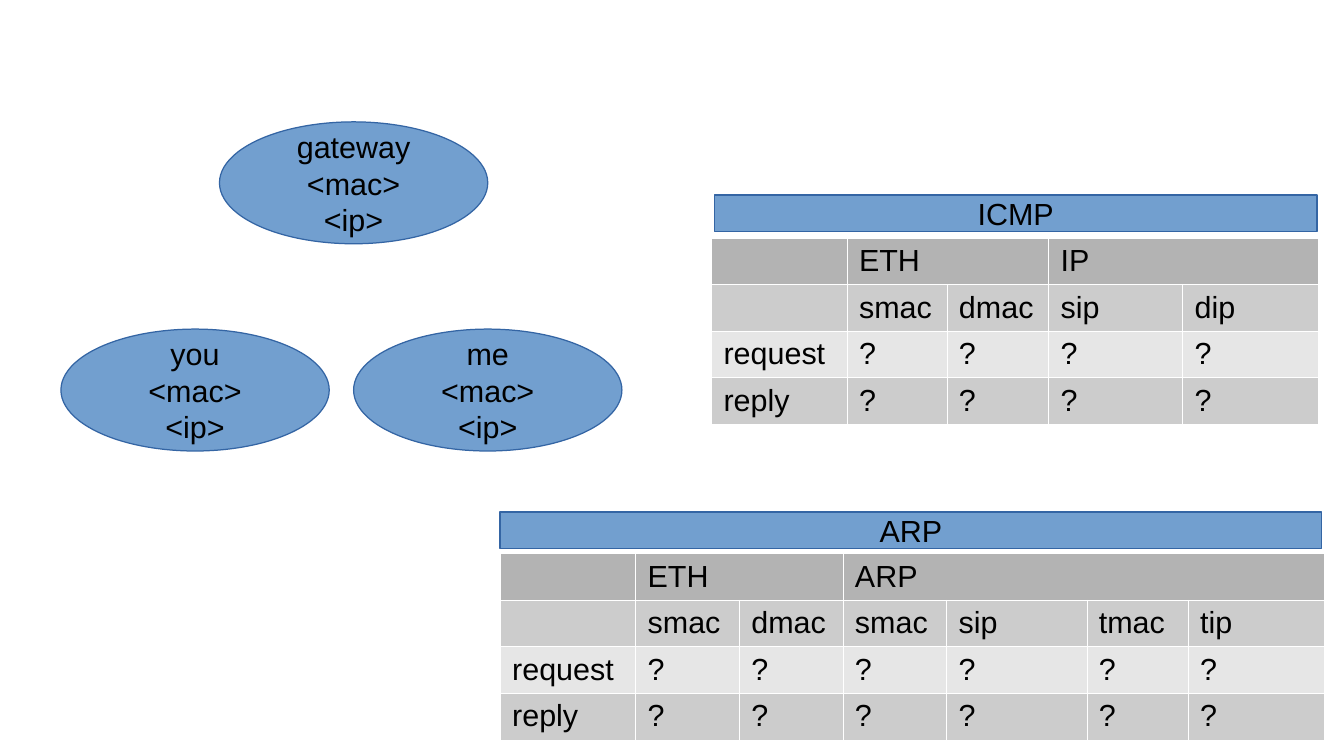
"""Build a slide of three network hosts with ICMP and ARP exercise tables."""
from lxml import etree
from pptx import Presentation
from pptx.dml.color import RGBColor
from pptx.enum.shapes import MSO_SHAPE
from pptx.enum.text import MSO_ANCHOR, PP_ALIGN
from pptx.oxml.ns import qn
from pptx.util import Pt

ELLIPSE, RECTANGLE = MSO_SHAPE.OVAL, MSO_SHAPE.RECTANGLE
LEFT, CENTER = PP_ALIGN.LEFT, PP_ALIGN.CENTER
MIDDLE = MSO_ANCHOR.MIDDLE

BLUE, DARK_BLUE, BLACK, WHITE = "729FCF", "3465A4", "000000", "FFFFFF"
ROW_FILLS = ["B3B3B3", "CCCCCC", "E6E6E6", "CCCCCC"]
ROW_HEIGHT = 27.5


def color(value):
    return RGBColor.from_string(value)


def write(text_frame, text, size=18, font="Arial", fill=BLACK, align=LEFT):
    text_frame.text = text
    for paragraph in text_frame.paragraphs:
        paragraph.alignment = align
        paragraph.font.size = Pt(size)
        paragraph.font.name = font
        paragraph.font.color.rgb = color(fill)


presentation = Presentation()
presentation.slide_width, presentation.slide_height = Pt(793.5), Pt(446.5)
slide = presentation.slides.add_slide(presentation.slide_layouts[6])

tables = [
    (420, 140.4, [80, 59, 60, 79.2, 80],
     [("ETH", 1, 2), ("IP", 3, 4)],
     ["smac", "dmac", "sip", "dip"]),
    (295.2, 326.9, [80, 61.2, 61.2, 61.2, 82.8, 59.8, 80.6],
     [("ETH", 1, 2), ("ARP", 3, 6)],
     ["smac", "dmac", "smac", "sip", "tmac", "tip"]),
]
for left, top, widths, groups, fields in tables:
    header = [""] * len(widths)
    for name, first, last in groups:
        header[first] = name
    unknowns = ["?"] * len(fields)
    rows = [header, ["", *fields], ["request", *unknowns], ["reply", *unknowns]]
    table = slide.shapes.add_table(
        len(rows), len(widths), Pt(left), Pt(top),
        Pt(sum(widths)), Pt(ROW_HEIGHT * len(rows))).table
    for column, width in zip(table.columns, widths):
        column.width = Pt(width)
    for row, texts, row_fill in zip(table.rows, rows, ROW_FILLS):
        row.height = Pt(ROW_HEIGHT)
        for cell, text in zip(row.cells, texts):
            write(cell.text_frame, text)
            properties = cell._tc.get_or_add_tcPr()
            for side in ("a:lnL", "a:lnR", "a:lnT", "a:lnB"):
                border = etree.SubElement(properties, qn(side), w="762")
                border_fill = etree.SubElement(border, qn("a:solidFill"))
                etree.SubElement(border_fill, qn("a:srgbClr"), val=WHITE)
            cell.fill.solid()
            cell.fill.fore_color.rgb = color(row_fill)
    for name, first, last in groups:
        table.cell(0, first).merge(table.cell(0, last))

labels = [
    (RECTANGLE, "ICMP", 421.9, 115.2, 355.7, 21.6),
    (RECTANGLE, "ARP", 295.2, 302.4, 485.3, 21.6),
    (ELLIPSE, "gateway\n<mac>\n<ip>", 129.6, 72, 158.4, 72),
    (ELLIPSE, "you\n<mac>\n<ip>", 36, 194.4, 158.4, 72),
    (ELLIPSE, "me\n<mac>\n<ip>", 208.8, 194.4, 158.4, 72),
]
for kind, text, left, top, width, height in labels:
    shape = slide.shapes.add_shape(kind, Pt(left), Pt(top), Pt(width), Pt(height))
    shape.shadow.inherit = False
    shape.fill.solid()
    shape.fill.fore_color.rgb = color(BLUE)
    shape.line.color.rgb = color(DARK_BLUE)
    shape.line.width = Pt(0.75)
    shape.text_frame.word_wrap = False
    shape.text_frame.vertical_anchor = MIDDLE
    write(shape.text_frame, text, align=CENTER)

presentation.save("out.pptx")
